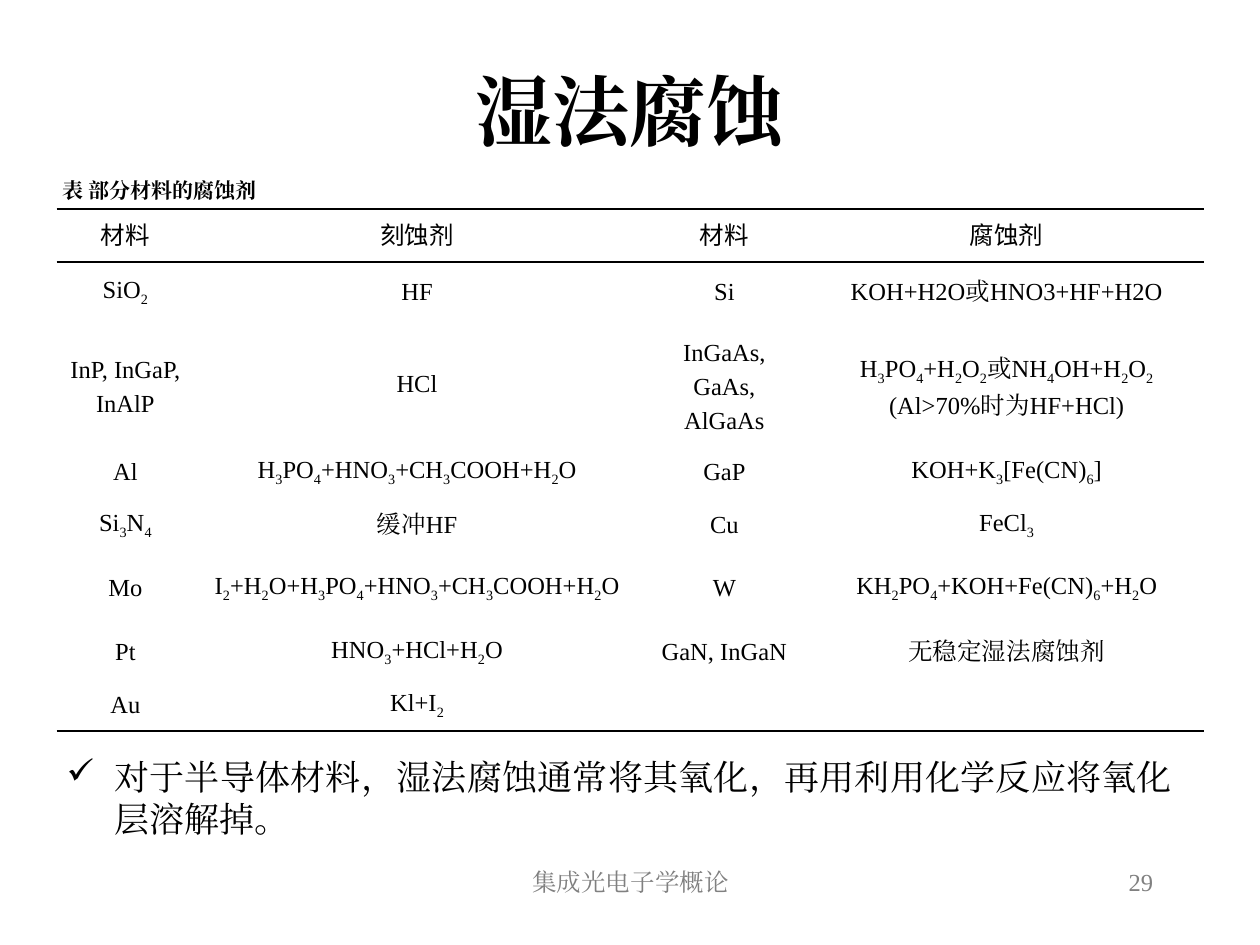
import pptx
import pptx.dml.color
import pptx.enum.text
import pptx.oxml
import pptx.oxml.ns
import pptx.util
from pptx.util import Inches

BLACK = pptx.dml.color.RGBColor(0x00, 0x00, 0x00)
GRAY = pptx.dml.color.RGBColor(0x80, 0x80, 0x80)
SERIF = "Times New Roman"
SANS = "Noto Sans CJK SC"
ALIGN = pptx.enum.text.PP_ALIGN
ANCHOR = pptx.enum.text.MSO_ANCHOR
NAMESPACE = pptx.oxml.ns.nsdecls("a")

COLUMN_WIDTHS = [1.09, 3.54, 1.34, 3.14]
ROW_HEIGHTS = [0.42, 0.48, 0.67, 0.42, 0.42, 0.59, 0.42, 0.42]
ETCHANTS = [
    ["材料", "刻蚀剂", "材料", "腐蚀剂"],
    ["SiO_2", "HF", "Si", "KOH+H2O或HNO3+HF+H2O"],
    ["InP, InGaP, InAlP", "HCl", "InGaAs, GaAs, AlGaAs",
     "H_3PO_4+H_2O_2或NH_4OH+H_2O_2\n(Al>70%时为HF+HCl)"],
    ["Al", "H_3PO_4+HNO_3+CH_3COOH+H_2O", "GaP", "KOH+K_3[Fe(CN)_6]"],
    ["Si_3N_4", "缓冲HF", "Cu", "FeCl_3"],
    ["Mo", "I_2+H_2O+H_3PO_4+HNO_3+CH_3COOH+H_2O", "W",
     "KH_2PO_4+KOH+Fe(CN)_6+H_2O"],
    ["Pt", "HNO_3+HCl+H_2O", "GaN, InGaN", "无稳定湿法腐蚀剂"],
    ["Au", "Kl+I_2", "", ""],
]
LOOSE_ROW = 2
LOOSE_COLUMNS = (0, 2, 3)


def add_span(para, text, size, color=BLACK, font=SERIF, bold=False, subscript=False):
    """Add one run with its Latin and East Asian fonts set."""
    span = para.add_run()
    span.text = text
    span.font.size = pptx.util.Pt(size)
    span.font.bold = bold
    span.font.color.rgb = color
    span.font.name = font
    properties = span.font._element
    properties.append(pptx.oxml.parse_xml(f'<a:ea {NAMESPACE} typeface="{font}"/>'))
    if subscript:
        properties.set("baseline", "-25000")


def add_formula(para, formula, font):
    """Add a formula, lowering each character that follows an underscore."""
    first, *rest = formula.split("_")
    add_span(para, first, 14, font=font)
    for piece in rest:
        add_span(para, piece[0], 14, font=font, subscript=True)
        if piece[1:]:
            add_span(para, piece[1:], 14, font=font)


def add_text(page, bounds, text, size, align, color=BLACK, bold=False, anchor=ANCHOR.TOP):
    """Place a wrapped line of text in its bounds and return the box."""
    box = page.shapes.add_textbox(*map(Inches, bounds))
    box.text_frame.word_wrap = True
    box.text_frame.vertical_anchor = anchor
    para = box.text_frame.paragraphs[0]
    para.alignment = align
    add_span(para, text, size, color, bold=bold)
    return box


def add_check_item(page, bounds, text):
    """Place a justified paragraph with a check mark bullet."""
    box = add_text(page, bounds, text, 20, ALIGN.JUSTIFY)
    properties = box.text_frame.paragraphs[0]._p.get_or_add_pPr()
    properties.set("marL", str(Inches(0.38)))
    properties.set("indent", str(-Inches(0.38)))
    properties.append(pptx.oxml.parse_xml(f'<a:buChar {NAMESPACE} char="✓"/>'))


def style_cell(cell, ruled_sides):
    """Clear the fill and draw black rules on the given sides only."""
    properties = cell._tc.get_or_add_tcPr()
    for side in "LRTB":
        if side in ruled_sides:
            paint = '<a:solidFill><a:srgbClr val="000000"/></a:solidFill>'
        else:
            paint = "<a:noFill/>"
        properties.append(pptx.oxml.parse_xml(
            f'<a:ln{side} {NAMESPACE} w="{pptx.util.Pt(1.5)}">{paint}</a:ln{side}>'))
    cell.fill.background()


def fill_cell(cell, text, font, spacing):
    """Write centred formulas, one paragraph a line."""
    for index, line in enumerate(text.split("\n")):
        frame = cell.text_frame
        para = frame.paragraphs[0] if index == 0 else frame.add_paragraph()
        para.alignment = ALIGN.CENTER
        if spacing:
            para.line_spacing = spacing
        if line:
            add_formula(para, line, font)


def add_etchant_table(page, left, top):
    """Place the three-rule table of materials and etchants."""
    table = page.shapes.add_table(
        len(ROW_HEIGHTS), len(COLUMN_WIDTHS), Inches(left), Inches(top),
        Inches(sum(COLUMN_WIDTHS)), Inches(sum(ROW_HEIGHTS))).table
    table.first_row = False
    table.horz_banding = False
    for column, width in zip(table.columns, COLUMN_WIDTHS):
        column.width = Inches(width)
    rules = {0: "TB", 1: "T", len(ROW_HEIGHTS) - 1: "B"}
    for row, height in enumerate(ROW_HEIGHTS):
        table.rows[row].height = Inches(height)
        for column, text in enumerate(ETCHANTS[row]):
            cell = table.cell(row, column)
            loose = row == LOOSE_ROW and column in LOOSE_COLUMNS
            style_cell(cell, rules.get(row, ""))
            cell.vertical_anchor = ANCHOR.MIDDLE if row else ANCHOR.TOP
            fill_cell(cell, text, SERIF if row else SANS, 1.25 if loose else None)


def add_footer(page, top, height):
    """Place the course name and the page number on one line."""
    add_text(page, (3.42, top, 3.17, height), "集成光电子学概论", 14, ALIGN.CENTER, GRAY)
    add_text(page, (7.17, top, 2.08, height), "29", 14, ALIGN.RIGHT, GRAY)


def main():
    """Build and save the slide."""
    deck = pptx.Presentation()
    deck.slide_width, deck.slide_height = Inches(10), Inches(7.5)
    page = deck.slides.add_slide(deck.slide_layouts[6])
    add_text(page, (0.75, 0.48, 8.5, 0.78), "湿法腐蚀", 44, ALIGN.CENTER,
             bold=True, anchor=ANCHOR.MIDDLE)
    add_footer(page, 6.83, 0.5)
    add_etchant_table(page, 0.45, 1.66)
    caption = add_text(page, (-0.43, 1.36, 3.39, 0.3), "表 部分材料的腐蚀剂", 12,
                       ALIGN.CENTER, bold=True)
    caption.text_frame.auto_size = pptx.enum.text.MSO_AUTO_SIZE.SHAPE_TO_FIT_TEXT
    add_check_item(page, (0.43, 5.95, 8.97, 0.4),
                   "对于半导体材料，湿法腐蚀通常将其氧化，再用利用化学反应将氧化层溶解掉。")
    deck.save("out.pptx")


if __name__ == "__main__":
    main()
